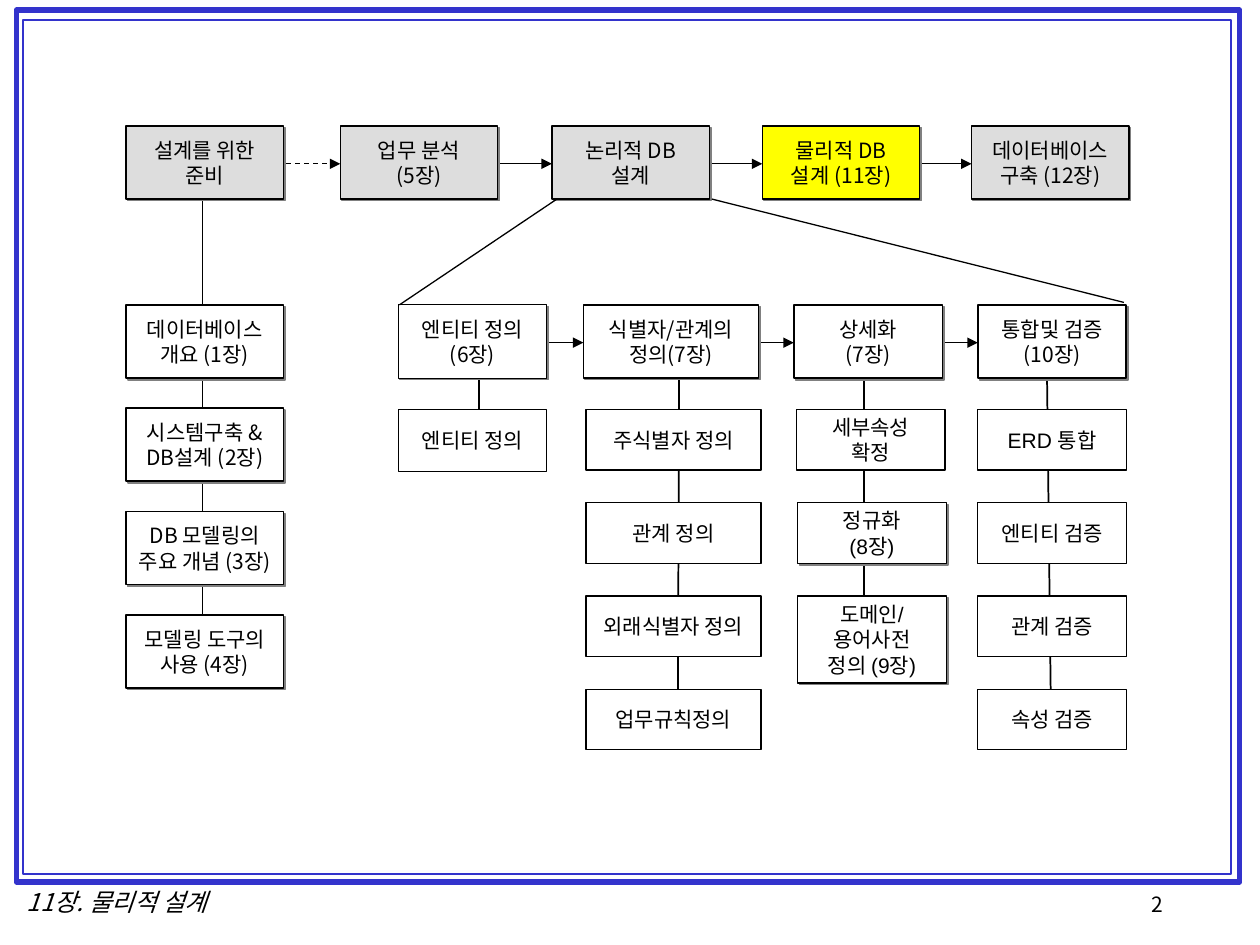
from lxml.etree import SubElement
from pptx import Presentation
from pptx.dml.color import RGBColor
from pptx.enum.dml import MSO_LINE_DASH_STYLE as DASH
from pptx.enum.shapes import MSO_CONNECTOR as CONNECTOR, MSO_SHAPE as SHAPE
from pptx.enum.text import MSO_ANCHOR as ANCHOR, PP_ALIGN as ALIGN
from pptx.oxml.ns import qn
from pptx.util import Inches, Pt

COLORS = {"black": "000000", "white": "FFFFFF", "stage": "DDDDDD",
          "current": "FFFF00", "frame": "3333CC", "shadow": "808080"}
KOREAN, LATIN = "Noto Sans CJK KR", "Arial"
BOX_H = 0.58      # height of stages and headings
STEP_H = 0.48     # height of the steps below a heading
STEP_PITCH = 0.74
GAP = 0.02        # space between a box edge and an arrow


def rgb(name):
    return RGBColor.from_string(COLORS[name])


def write(tf, text, font=KOREAN, size=12, italic=False, align=ALIGN.CENTER):
    tf.text = text
    tf.word_wrap = False
    for p in tf.paragraphs:
        p.alignment = align
        for r in p.runs:
            r.font.name = font
            r.font.size = Pt(size)
            r.font.italic = italic
            r.font.color.rgb = rgb("black")
            SubElement(r._r.get_or_add_rPr(), qn("a:ea"), typeface=KOREAN)


def add_rect(slide, left, top, width, height, line="black", weight=0.75):
    sp = slide.shapes.add_shape(SHAPE.RECTANGLE, Inches(left), Inches(top),
                                Inches(width), Inches(height))
    sp.shadow.inherit = False
    sp.fill.background()
    sp.line.color.rgb = rgb(line)
    sp.line.width = Pt(weight)
    return sp


def add_box(slide, left, top, width, height, text, fill="white",
            weight=0.75, font=KOREAN, shadow=True):
    sp = add_rect(slide, left, top, width, height, weight=weight)
    sp.fill.solid()
    sp.fill.fore_color.rgb = rgb(fill)
    if shadow:
        effects = sp._element.spPr.find(qn("a:effectLst"))
        outer = SubElement(effects, qn("a:outerShdw"), dist=str(Pt(1.4)),
                           dir="2700000", algn="ctr", rotWithShape="0")
        SubElement(outer, qn("a:srgbClr"), val=COLORS["shadow"])
    sp.text_frame.vertical_anchor = ANCHOR.MIDDLE
    write(sp.text_frame, text, font)


def add_line(slide, x1, y1, x2, y2, weight=0.75, arrow=False, dashed=False):
    line = slide.shapes.add_connector(CONNECTOR.STRAIGHT, Inches(x1),
                                      Inches(y1), Inches(x2), Inches(y2))
    line.line.color.rgb = rgb("black")
    line.line.width = Pt(weight)
    if dashed:
        line.line.dash_style = DASH.DASH
    if arrow:
        SubElement(line.line._get_or_add_ln(), qn("a:tailEnd"),
                   type="triangle")
    SubElement(line._element.spPr, qn("a:effectLst"))


def add_label(slide, left, top, width, height, text, **style):
    tb = slide.shapes.add_textbox(Inches(left), Inches(top),
                                  Inches(width), Inches(height))
    write(tb.text_frame, text, **style)


def add_frame(slide, left, top, width, height):
    """Double border with the chapter title and page number below it."""
    add_rect(slide, left, top, width, height, "frame", 3)
    add_rect(slide, left + 0.05, top + 0.08, width - 0.12, height - 0.14,
             "frame", 1)
    bottom = top + height
    add_label(slide, 9.04, bottom + 0.03, 1.02, 0.33, "2", align=ALIGN.LEFT)
    add_label(slide, 0.04, bottom - 0.01, 1.78, 0.34, "11장. 물리적 설계",
              size=14, italic=True)


def add_stages(slide, top, width, stages):
    """Row of main stages joined by arrows; the first arrow is dashed."""
    for left, text, fill in stages:
        add_box(slide, left, top, width, BOX_H, text, fill)
    for i, (stage, following) in enumerate(zip(stages, stages[1:])):
        add_line(slide, stage[0] + width + GAP, top + 0.3, following[0],
                 top + 0.3, arrow=True, dashed=i == 0)


def add_preparation(slide, left, top, width, chapters):
    """Column of chapters hanging from the first stage."""
    pitch = 0.82
    add_line(slide, left + 0.61, 1.58, left + 0.61, top + 2.5)
    for i, (text, weight) in enumerate(chapters):
        add_box(slide, left, top + i * pitch, width, BOX_H, text,
                weight=weight)


def add_phase(slide, left, top, width, heading, weight, spine, steps):
    """Heading with a column of (text, offset, height, shadow) steps."""
    first = top + 0.83
    last = first + (len(steps) - 1) * STEP_PITCH
    add_line(slide, spine[0], top + BOX_H, spine[1], last + 0.1, weight=1)
    add_box(slide, left, top, width, BOX_H, heading, weight=weight)
    for i, (text, offset, height, shadow) in enumerate(steps):
        add_box(slide, left + offset, first + i * STEP_PITCH, width, height,
                text, font=LATIN, shadow=shadow, weight=min(weight, 0.75))


def add_logical_design(slide, top, phases):
    """Phases of the logical design, joined by arrows and fanned out above."""
    for left, width, *details in phases:
        add_phase(slide, left, top, width, *details)
    for phase, following in zip(phases, phases[1:]):
        add_line(slide, phase[0] + phase[1] + GAP, top + 0.3, following[0],
                 top + 0.3, arrow=True)
    add_line(slide, 4.42, 1.58, phases[0][0] + 0.01, top)
    add_line(slide, 5.65, 1.58, 8.92, top - GAP)


STAGES = [
    (1, "설계를 위한\n준비", "stage"),
    (2.7, "업무 분석\n(5장)", "stage"),
    (4.38, "논리적 DB\n설계", "stage"),
    (6.05, "물리적 DB\n설계 (11장)", "current"),
    (7.71, "데이터베이스\n구축 (12장)", "stage"),
]
CHAPTERS = [
    ("데이터베이스\n개요 (1장)", 1),
    ("시스템구축 &\nDB설계 (2장)", 1),
    ("DB 모델링의\n주요 개념 (3장)", 0.75),
    ("모델링 도구의\n사용 (4장)", 0.75),
]
# left, width, heading, line weight, spine x at top and bottom, steps
PHASES = [
    (3.16, 1.18, "엔티티 정의\n(6장)", 0.5, (3.8, 3.8),
     [("엔티티 정의", 0, 0.49, False)]),
    (4.63, 1.39, "식별자/관계의\n정의(7장)", 0.75, (5.39, 5.38),
     [(text, 0.02, STEP_H, False) for text in
      ("주식별자 정의", "관계 정의", "외래식별자 정의", "업무규칙정의")]),
    (6.3, 1.18, "상세화\n(7장)", 1, (6.86, 6.86),
     [("세부속성\n확정", 0.02, STEP_H, False),
      ("정규화\n(8장)", 0.03, STEP_H, True),
      ("도메인/\n용어사전\n정의 (9장)", 0.03, 0.69, True)]),
    (7.76, 1.18, "통합및 검증\n(10장)", 1, (8.31, 8.34),
     [(text, 0, STEP_H, False) for text in
      ("ERD 통합", "엔티티 검증", "관계 검증", "속성 검증")]),
]


def main():
    prs = Presentation()
    prs.slide_width, prs.slide_height = Inches(10), Inches(7.5)
    slide = prs.slides.add_slide(prs.slide_layouts[6])
    add_frame(slide, 0.13, 0.08, 9.71, 6.92)
    add_preparation(slide, 1, 2.42, 1.25, CHAPTERS)
    add_stages(slide, 1, 1.25, STAGES)
    add_logical_design(slide, 2.42, PHASES)
    prs.save("out.pptx")


if __name__ == "__main__":
    main()
